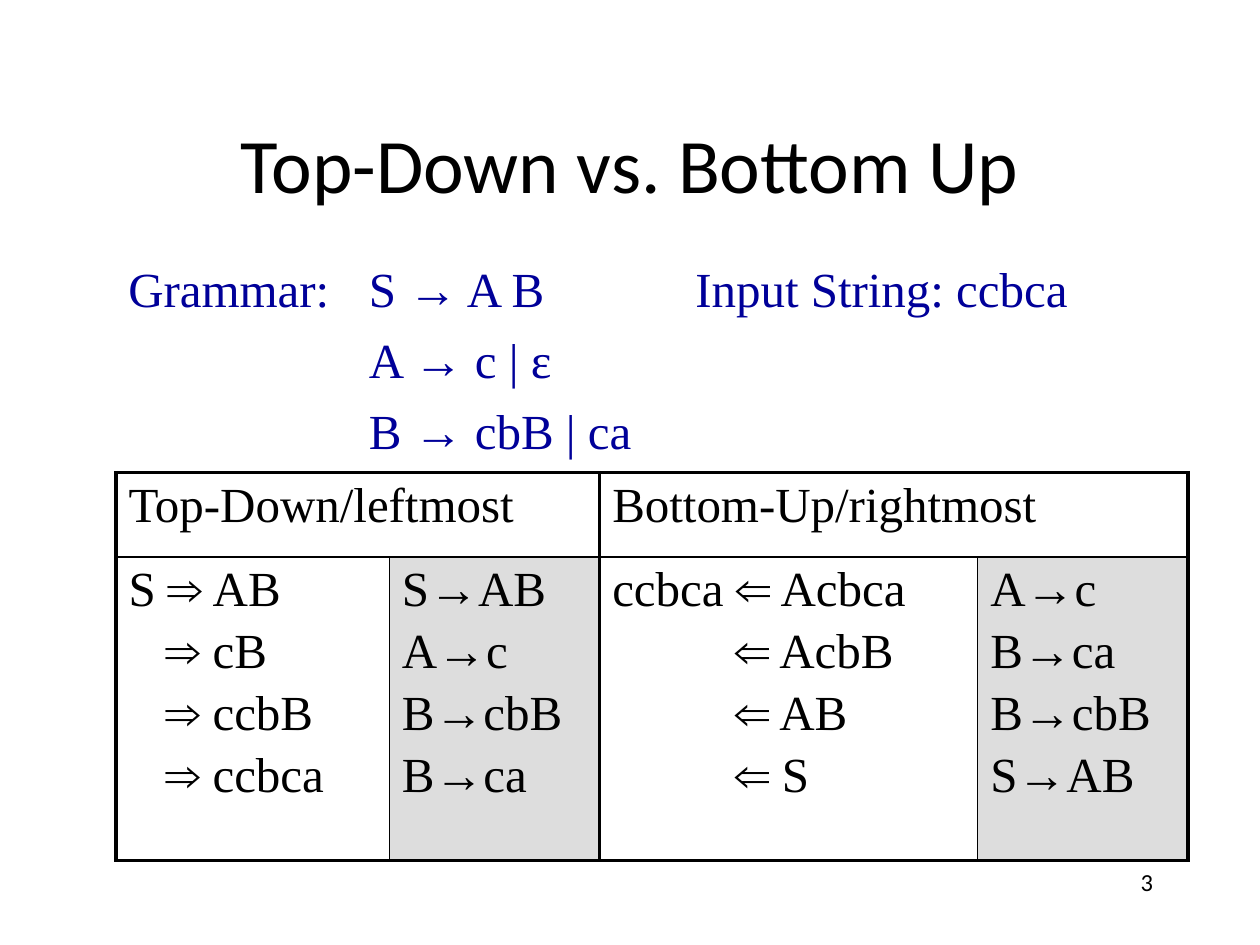
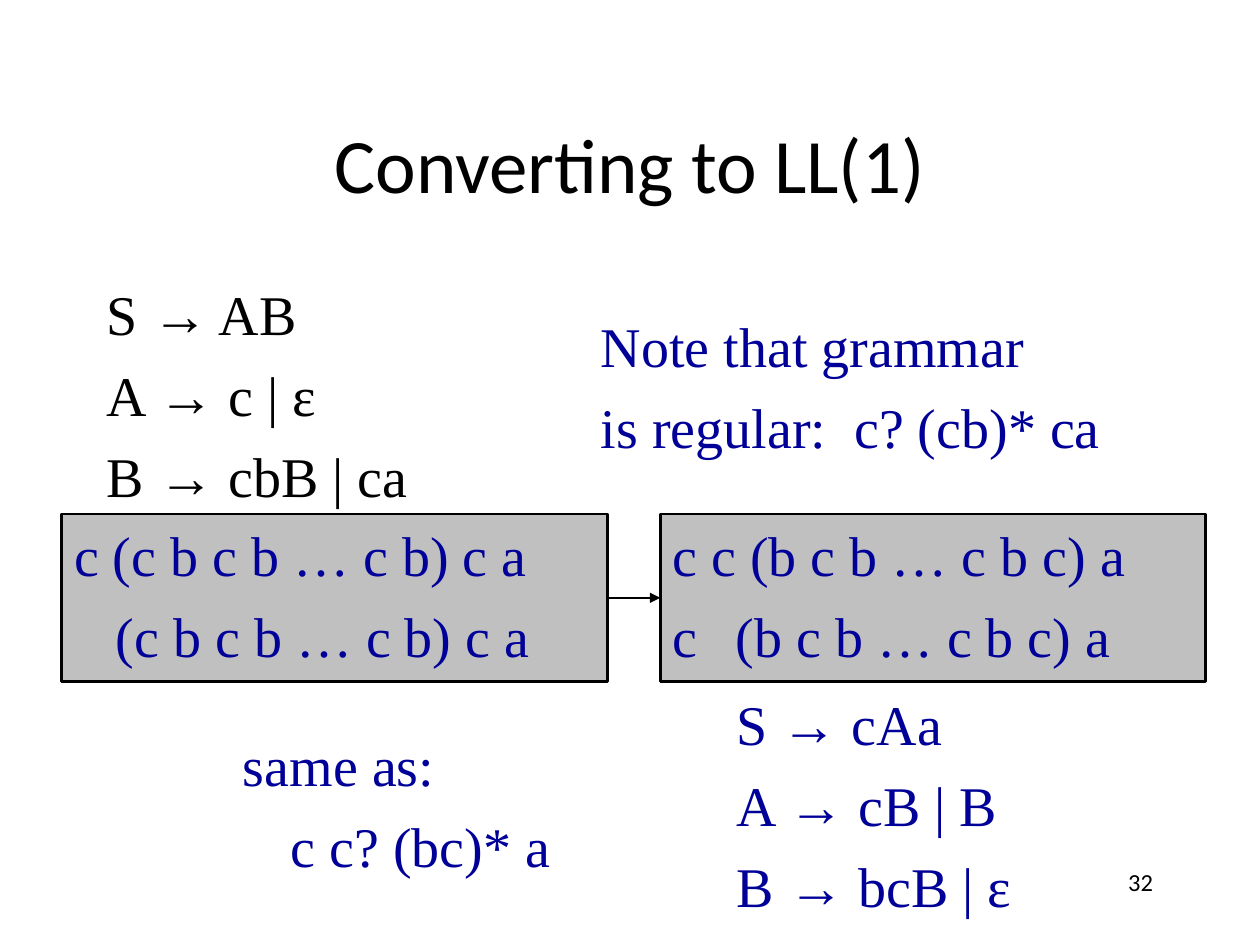
from lxml import etree
from pptx import Presentation
from pptx.dml.color import RGBColor
from pptx.enum.shapes import MSO_CONNECTOR, MSO_SHAPE
from pptx.enum.text import MSO_ANCHOR, PP_ALIGN
from pptx.oxml.ns import qn
from pptx.util import Inches, Pt

TOP, MIDDLE = MSO_ANCHOR.TOP, MSO_ANCHOR.MIDDLE
LEFT, CENTER, RIGHT = PP_ALIGN.LEFT, PP_ALIGN.CENTER, PP_ALIGN.RIGHT
RECT, STRAIGHT = MSO_SHAPE.RECTANGLE, MSO_CONNECTOR.STRAIGHT

SANS, SERIF = "Calibri", "Times New Roman"
BLACK, NAVY, SILVER, PALE = "000000", "000099", "C0C0C0", "DDDDDD"
THIN, THICK = 1, 2.25
TITLE_ONLY = 5


def rgb(hex_color):
    return RGBColor.from_string(hex_color)


def inches(box):
    return [Inches(v) for v in box]


def write(tf, lines, size, color=BLACK, font=SERIF, align=LEFT, gap=0.25, tab=None):
    """Fill a text frame; a line is a string or a (string, left indent) pair."""
    for i, line in enumerate(lines):
        text, indent = line if isinstance(line, tuple) else (line, 0)
        p = tf.paragraphs[0] if i == 0 else tf.add_paragraph()
        pPr = p._p.get_or_add_pPr()
        pPr.set("marL", str(Inches(indent)))
        pPr.set("indent", "0")
        if tab and "\t" in text:
            tabs = etree.SubElement(pPr, qn("a:tabLst"))
            etree.SubElement(tabs, qn("a:tab"), pos=str(Inches(tab)), algn="l")
        p.alignment = align
        p.space_before = Pt(gap * size if i else 0)
        r = p.add_run()
        r.text = text
        r.font.size, r.font.name = Pt(size), font
        r.font.color.rgb = rgb(color)


def add_text(slide, box, lines, size, color=NAVY, **style):
    tf = slide.shapes.add_textbox(*inches(box)).text_frame
    tf.word_wrap = True
    write(tf, lines, size, color, **style)


def add_slide(prs, title, number):
    slide = prs.slides.add_slide(prs.slide_layouts[TITLE_ONLY])
    sp = slide.shapes.title
    sp.left, sp.top, sp.width, sp.height = inches((0.75, 0.67, 8.5, 1.25))
    sp.text_frame.vertical_anchor = MIDDLE
    write(sp.text_frame, [title], 44, font=SANS, align=CENTER)
    add_text(slide, (7.17, 6.83, 2.08, 0.5), [number], 14, BLACK, font=SANS, align=RIGHT)
    return slide


def set_borders(cell, left, right, top, bottom):
    tcPr = cell._tc.get_or_add_tcPr()
    for side, width in zip("LRTB", (left, right, top, bottom)):
        ln = etree.SubElement(tcPr, qn(f"a:ln{side}"), w=str(Pt(width)))
        fill = etree.SubElement(ln, qn("a:solidFill"))
        etree.SubElement(fill, qn("a:srgbClr"), val=BLACK)


def add_derivations(slide, box, headings, columns):
    """Table with a heading over each pair of columns: derivation, rule used."""
    table = slide.shapes.add_table(2, len(columns), *inches(box)).table
    table.first_row = table.horz_banding = False
    for row, height in zip(table.rows, (0.67, box[3] - 0.67)):
        row.height = Inches(height)
    for col, (width, lines) in enumerate(columns):
        table.columns[col].width = Inches(width)
        is_rule = col % 2 == 1
        head, body = table.cell(0, col), table.cell(1, col)
        set_borders(head, THICK, THICK, THICK, THIN)
        head.fill.background()
        set_borders(body, THIN if is_rule else THICK, THICK if is_rule else THIN, THIN, THICK)
        if is_rule:
            body.fill.solid()
            body.fill.fore_color.rgb = rgb(PALE)
        else:
            body.fill.background()
        write(body.text_frame, lines, 28, gap=0.157)
    for i, heading in enumerate(headings):
        head = table.cell(0, 2 * i)
        head.merge(table.cell(0, 2 * i + 1))
        write(head.text_frame, [heading], 28)


def add_pattern_box(slide, box, lines):
    sp = slide.shapes.add_shape(RECT, *inches(box))
    sp.shadow.inherit = False
    sp.fill.solid()
    sp.fill.fore_color.rgb = rgb(SILVER)
    sp.line.color.rgb = rgb(BLACK)
    sp.line.width = Pt(1.5)
    tf = sp.text_frame
    tf.word_wrap = True
    tf.vertical_anchor = TOP
    write(tf, lines, 32, NAVY, tab=0.64)
    return sp


def add_arrow(slide, start, end):
    """Arrow from the right side of one box to the left side of another."""
    line = slide.shapes.add_connector(STRAIGHT, 0, 0, 0, 0)
    line.begin_connect(start, 3)
    line.end_connect(end, 1)
    line.line.color.rgb = rgb(BLACK)
    line.line.width = Pt(1.5)
    etree.SubElement(line.line._get_or_add_ln(), qn("a:tailEnd"), type="triangle")
    etree.SubElement(line._element.spPr, qn("a:effectLst"))


def build_comparison(prs):
    slide = add_slide(prs, "Top-Down vs. Bottom Up", "3")
    add_text(slide, (0.92, 2, 1.8, 0.57), ["Grammar:"], 28)
    add_text(slide, (2.83, 2, 2.5, 1.67), ["S → A B", "A → c | ε", "B → cbB | ca"], 28)
    add_text(slide, (5.42, 2, 3.42, 0.67), ["Input String: ccbca"], 28)
    step, back = 0.29, 0.97
    add_derivations(
        slide, (0.92, 3.75, 8.5, 3.08),
        ["Top-Down/leftmost", "Bottom-Up/rightmost"],
        [
            (2.17, ["S ⇒ AB", ("⇒ cB", step), ("⇒ ccbB", step), ("⇒ ccbca", step)]),
            (1.67, ["S→AB", "A→c", "B→cbB", "B→ca"]),
            (3, ["ccbca ⇐ Acbca", ("⇐ AcbB", back), ("⇐ AB", back), ("⇐ S", back)]),
            (1.67, ["A→c", "B→ca", "B→cbB", "S→AB"]),
        ])


def build_conversion(prs):
    slide = add_slide(prs, "Converting to LL(1)", "32")
    add_text(slide, (0.75, 2.17, 2.92, 1.83), ["S → AB", "A → c | ε", "B → cbB | ca"], 32, BLACK)
    add_text(slide, (5.75, 5.42, 3, 1.92), ["S → cAa", "A → cB | B", "B → bcB | ε"], 32)
    add_text(slide, (4.67, 2.42, 4.25, 1.42), ["Note that grammar", "is regular:  c? (cb)* ca"], 32)
    add_text(slide, (1.83, 5.75, 3.08, 1.42), ["same as:", ("c c? (bc)* a", 0.38)], 32)
    before = add_pattern_box(slide, (0.49, 4.08, 4.33, 1.33),
                             ["c (c b c b … c b) c a", ("(c b c b … c b) c a", 0.33)])
    after = add_pattern_box(slide, (5.24, 4.08, 4.33, 1.33),
                            ["c c (b c b … c b c) a", "c\t(b c b … c b c) a"])
    add_arrow(slide, before, after)


def main():
    prs = Presentation()
    prs.slide_width, prs.slide_height = Inches(10), Inches(7.5)
    build_comparison(prs)
    build_conversion(prs)
    prs.save("out.pptx")


if __name__ == "__main__":
    main()
